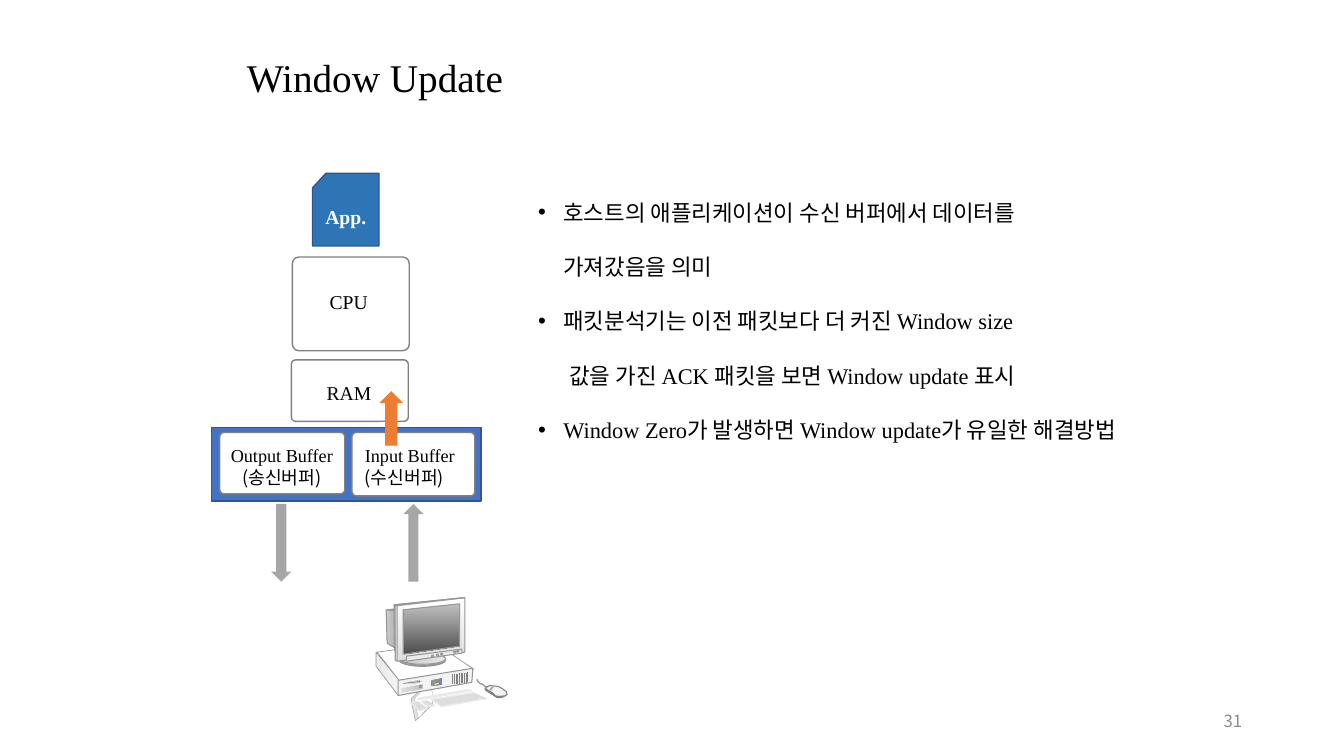
from lxml.etree import SubElement
from pptx import Presentation
from pptx.dml.color import RGBColor
from pptx.enum.shapes import MSO_CONNECTOR, MSO_SHAPE
from pptx.enum.text import MSO_ANCHOR, PP_ALIGN
from pptx.oxml.ns import qn
from pptx.util import Inches, Pt

SERIF = "Times New Roman"
SANS = "Noto Sans CJK KR"
COLORS = {
    "black": "000000", "white": "FFFFFF", "number": "8C8C8C",
    "blue": "4472C4", "app": "2E75B6", "navy": "325491",
    "orange": "ED7D31", "arrow": "A6A6A6", "outline": "808080",
    "edge": "969696", "dark": "4D4D4D", "slate": "777777",
    "port": "858585", "silver": "C0C0C0", "mist": "CCCCCC", "pale": "DDDDDD",
    "light": "EAEAEA", "frost": "F3F3F3", "soft": "B2B2B2", "led": "3399FF",
    "slot": "5F5F5F", "lamp": "FFFF99",
}
BULLETS = [
    ("호스트의 애플리케이션이 수신 버퍼에서 데이터를", True, 0.25),
    ("가져갔음을 의미", False, 0.25),
    ("패킷분석기는 이전 패킷보다 더 커진 Window size", True, 0.25),
    ("값을 가진 ACK 패킷을 보면 Window update 표시", False, 0.31),
    ("Window Zero가 발생하면 Window update가 유일한 해결방법", True, 0.25),
]
# Points are hundredths of an inch: fill, line, line width, closed, points.
MOUSE_AND_KEYBOARD = [
    (None, "edge", 1, False, [(484, 682), (481, 681), (479, 679), (476, 678), (474, 676), (473, 674)]),
    ("frost", "outline", 0.75, True, [(484, 681), (482, 682), (482, 684), (488, 687), (491, 690), (494, 691),
                                      (499, 691), (503, 689), (502, 686), (498, 683), (494, 681), (486, 680)]),
    (("edge", "white", 0), "outline", 0.75, True, [(481, 683), (482, 685), (490, 690), (493, 692), (497, 692),
                                                   (502, 690), (497, 691), (492, 691), (487, 687)]),
    (None, "soft", 1.5, False, [(486, 685), (489, 681), (491, 680)]),
    (("pale", "frost", 0), "soft", 0.5, True, [(408, 693), (408, 696), (412, 715), (429, 699), (429, 694), (423, 679)]),
    ("white", "soft", 0.25, True, [(411, 693), (426, 677), (431, 694), (415, 713)]),
    ("pale", "light", 1, False, [(468, 685), (417, 694), (414, 693), (465, 684)]),
    ("pale", "light", 1, False, [(483, 693), (480, 694), (475, 693), (477, 694), (438, 701), (428, 694), (470, 687)]),
    ("pale", "light", 1, False, [(424, 695), (418, 696), (424, 701), (432, 700)]),
    ("pale", "light", 1, False, [(415, 696), (407, 697), (416, 705), (424, 703)]),
]
DESKTOP_CASE = [
    (("light", "frost", 0), "edge", 0.5, False, [(396, 675), (373, 647), (373, 661), (395, 690)]),
    ("white", "edge", 0.5, True, [(396, 675), (470, 664), (433, 639), (374, 647)]),
    ("frost", "edge", 0.75, True, [(395, 675), (469, 663), (468, 677), (395, 690)]),
    (("pale", "silver", 0), None, 0, True, [(398, 683), (398, 687), (420, 683), (420, 679)]),
    (("edge", "port", 0), None, 0, True, [(427, 675), (427, 681), (439, 679), (439, 673)]),
    (("pale", "silver", 0), None, 0, True, [(401, 677), (401, 679), (417, 677), (417, 675)]),
]
MONITOR_BACK = [
    ("light", "edge", 0.75, True, [(384, 605), (394, 606), (434, 600)]),
    (("mist", "edge", 0), "edge", 0.75, True, [(383, 605), (384, 638), (395, 645), (400, 605), (392, 606)]),
]
MONITOR_FRONT = [
    (("white", "pale", 90), "edge", 0.75, True, [(393, 600), (461, 593), (461, 647), (394, 656)]),
    ("light", "edge", 0.75, True, [(403, 651), (458, 644), (458, 648), (403, 656)]),
    (("slate", "white", 0), "edge", 0.75, True, [(394, 601), (391, 600), (392, 655), (394, 656)]),
    (("silver", "dark", 90), "edge", 0.75, True, [(400, 605), (456, 599), (456, 641), (400, 649)]),
    (None, "edge", 0.75, True, [(461, 593), (458, 593), (391, 600), (393, 601)]),
]
CASE_MARKS = [
    ("led", 0.75, 4.28, 6.77, 4.28, 6.8), ("led", 0.75, 4.38, 6.76, 4.38, 6.78),
    ("led", 0.75, 4.37, 6.77, 4.37, 6.78), ("led", 0.75, 4.3, 6.78, 4.3, 6.8),
    ("lamp", 0.75, 4.31, 6.79, 4.35, 6.78), ("slot", 0.25, 4, 6.78, 4.18, 6.76),
]


def rgb(name):
    """Return the named colour."""
    return RGBColor.from_string(COLORS[name])


def paint(shape, fill, line, width):
    """Set fill, which may be a (start, end, angle) gradient, and outline."""
    shape.shadow.inherit = False
    if fill is None:
        shape.fill.background()
    elif isinstance(fill, tuple):
        start, end, angle = fill
        shape.fill.gradient()
        shape.fill.gradient_angle = -angle % 360
        for stop, name in zip(shape.fill.gradient_stops, (start, end)):
            stop.color.rgb = rgb(name)
    else:
        shape.fill.solid()
        shape.fill.fore_color.rgb = rgb(fill)
    if line is None:
        shape.line.fill.background()
    else:
        shape.line.color.rgb = rgb(line)
        shape.line.width = Pt(width)


def write(paragraph, text, size=14, font=SERIF, color="black", bold=False, align=PP_ALIGN.LEFT):
    """Fill a paragraph with one formatted run."""
    paragraph.alignment = align
    run = paragraph.add_run()
    run.text = text
    run.font.size = Pt(size)
    run.font.bold = bold
    run.font.color.rgb = rgb(color)
    run.font.name = font
    SubElement(run.font._element, qn("a:ea"), typeface=SANS)


def add_shape(shapes, kind, box, fill=None, line=None, width=1, rotation=0):
    """Add a preset shape in a box of left, top, width and height."""
    shape = shapes.add_shape(kind, *map(Inches, box))
    paint(shape, fill, line, width)
    shape.rotation = rotation
    return shape


def add_frame(slide, box, wrap=False, anchor=MSO_ANCHOR.TOP):
    """Add a text box and return its text frame."""
    frame = slide.shapes.add_textbox(*map(Inches, box)).text_frame
    frame.word_wrap = wrap
    frame.vertical_anchor = anchor
    return frame


def add_block(slide, box, fill=None):
    """Add a rounded hardware block."""
    block = add_shape(slide.shapes, MSO_SHAPE.ROUNDED_RECTANGLE, box, fill, "outline")
    block.adjustments[0] = 0.07


def add_buffer_label(slide, box, name, korean, align):
    """Add the two-line label of a buffer."""
    frame = add_frame(slide, box)
    write(frame.paragraphs[0], name, size=13, align=align)
    write(frame.add_paragraph(), korean, size=13, font=SANS, align=align)


def add_bullets(slide):
    """Add the explanation, with unbulleted continuation lines."""
    frame = add_frame(slide, (5.24, 1.79, 6.2, 4.76), wrap=True)
    for index, (text, bulleted, margin) in enumerate(BULLETS):
        paragraph = frame.add_paragraph() if index else frame.paragraphs[0]
        write(paragraph, text, size=16)
        paragraph.line_spacing = 1.5
        paragraph.space_before = Pt(10)
        properties = paragraph._p.get_or_add_pPr()
        properties.set("marL", str(Inches(margin)))
        properties.set("indent", str(Inches(-0.25 if bulleted else 0)))
        if bulleted:
            SubElement(properties, qn("a:buFont"), typeface="Arial")
            SubElement(properties, qn("a:buChar"), char="•")


def add_outlines(shapes, outlines):
    """Add freeform parts from back to front."""
    for fill, line, width, closed, points in outlines:
        builder = shapes.build_freeform(*points[0], scale=Inches(0.01))
        builder.add_line_segments(points[1:], close=closed)
        paint(builder.convert_to_shape(), fill, line, width)


def add_line(shapes, color, width, *ends):
    """Add a straight line without a shadow."""
    line = shapes.add_connector(MSO_CONNECTOR.STRAIGHT, *map(Inches, ends))
    line.line.color.rgb = rgb(color)
    line.line.width = Pt(width)
    SubElement(line._element.spPr, qn("a:effectLst"))


def add_computer(slide):
    """Draw the desktop computer as one group."""
    shapes = slide.shapes.add_group_shape().shapes
    add_outlines(shapes, MOUSE_AND_KEYBOARD)
    add_outlines(shapes, DESKTOP_CASE)
    for index in range(10):
        left, top = 4.49 + index / 60, 6.69 - index / 450
        add_line(shapes, "outline", 0.75, left, top, left, top + 0.1)
    for mark in CASE_MARKS:
        add_line(shapes, *mark)
    add_outlines(shapes, MONITOR_BACK)
    for top, height, fill in ((6.49, 0.12, "edge"), (6.48, 0.11, ("silver", "light", 45))):
        add_shape(shapes, MSO_SHAPE.OVAL, (3.96, top, 0.46, height), fill, "edge", 0.75)
    add_outlines(shapes, MONITOR_FRONT)
    for left, top, fill in ((4.53, 6.45, "slate"), (4.5, 6.46, "silver"), (4.37, 6.48, "silver"),
                            (4.33, 6.49, "silver"), (4.28, 6.5, "silver"), (4.16, 6.8, "edge")):
        add_shape(shapes, MSO_SHAPE.OVAL, (left, top, 0.02, 0.02), fill, "edge", 0.75)


def add_host(slide):
    """Draw the host's application, processor, memory and buffers."""
    add_shape(slide.shapes, MSO_SHAPE.RECTANGLE, (2.1, 4.24, 2.67, 0.73), "blue", "navy")
    add_block(slide, (2.9, 2.55, 1.16, 0.93))
    write(add_frame(slide, (3.17, 2.83, 0.58, 0.34)).paragraphs[0], "CPU")
    add_block(slide, (2.89, 3.57, 1.16, 0.61))
    write(add_frame(slide, (3.14, 3.73, 0.65, 0.34)).paragraphs[0], "RAM")
    add_block(slide, (2.18, 4.29, 1.24, 0.61), "white")
    add_buffer_label(slide, (2.18, 4.36, 1.23, 0.54), "Output Buffer", "(송신버퍼)", PP_ALIGN.CENTER)
    add_block(slide, (3.49, 4.29, 1.22, 0.63), "white")
    add_buffer_label(slide, (3.52, 4.36, 1.11, 0.54), "Input Buffer", "(수신버퍼)", PP_ALIGN.LEFT)
    app = add_shape(slide.shapes, MSO_SHAPE.FLOWCHART_CARD, (3.1, 1.72, 0.66, 0.72), "app", "navy")
    app.text_frame.vertical_anchor = MSO_ANCHOR.MIDDLE
    write(app.text_frame.paragraphs[0], "App.", color="white", bold=True, align=PP_ALIGN.CENTER)
    for box, fill, rotation in (((4, 5, 0.2, 0.77), "arrow", 180), ((2.69, 5, 0.2, 0.77), "arrow", 0),
                                ((3.76, 3.88, 0.24, 0.54), "orange", 180)):
        add_shape(slide.shapes, MSO_SHAPE.DOWN_ARROW, box, fill, rotation=rotation)


def main():
    """Build and save the slide."""
    presentation = Presentation()
    presentation.slide_width, presentation.slide_height = Inches(13.33), Inches(7.5)
    slide = presentation.slides.add_slide(presentation.slide_layouts[6])
    title = add_frame(slide, (2.35, 0.4, 8.62, 0.79), wrap=True, anchor=MSO_ANCHOR.MIDDLE)
    write(title.paragraphs[0], "Window Update", size=28)
    title.paragraphs[0].line_spacing = 0.9
    add_bullets(slide)
    number = add_frame(slide, (9.42, 6.95, 3, 0.4), wrap=True, anchor=MSO_ANCHOR.MIDDLE)
    write(number.paragraphs[0], "31", size=12, font=SANS, color="number", align=PP_ALIGN.RIGHT)
    add_computer(slide)
    add_host(slide)
    presentation.save("out.pptx")


if __name__ == "__main__":
    main()
